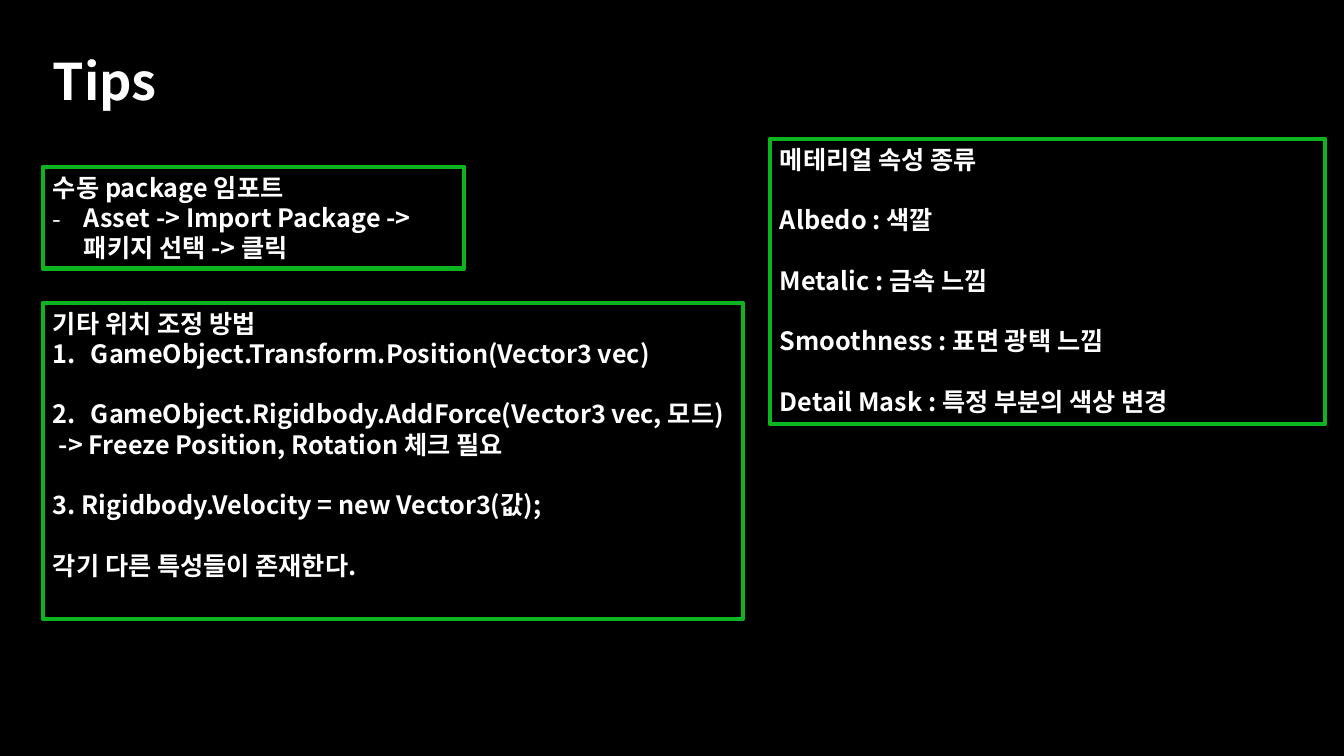
from lxml import etree
from pptx import Presentation, util as u
from pptx.dml.color import RGBColor
from pptx.enum import shapes, text
from pptx.oxml.ns import qn

BLACK = RGBColor(0x00, 0x00, 0x00)
WHITE = RGBColor(0xFF, 0xFF, 0xFF)
GREEN = RGBColor(0x0C, 0xB4, 0x20)
FONT = "Noto Sans CJK KR"
LEAD = 1.2  # line pitch as a multiple of the text size


def px(n):
    return u.Emu(round(n * 914400 / 100.8))


class Deck:
    def __init__(self):
        self.prs = Presentation()
        self.prs.slide_width, self.prs.slide_height = px(1344), px(756)
        self.slide = self.prs.slides.add_slide(self.prs.slide_layouts[6])
        fill = self.slide.background.fill
        fill.solid()
        fill.fore_color.rgb = BLACK

    def style(self, para, line, size):
        """A line is (text, gap before in lines, indent, hanging, bullet)."""
        words, gap, left, hang, mark = line
        para.text = words
        para.alignment = text.PP_ALIGN.LEFT
        para.line_spacing = u.Pt(size * LEAD)
        if gap:
            para.space_before = u.Pt(size * LEAD * gap)
        ppr = para._p.get_or_add_pPr()
        ppr.set("marL", str(px(left)))
        ppr.set("indent", str(-px(hang)))
        if mark == "-":
            etree.SubElement(ppr, qn("a:buFont"), typeface=FONT)
            etree.SubElement(ppr, qn("a:buChar"), char=mark)
        elif mark:
            etree.SubElement(ppr, qn("a:buFont"), typeface=FONT)
            etree.SubElement(ppr, qn("a:buAutoNum"), type=mark)
        for run in para.runs:
            font = run.font
            font.name, font.size, font.bold = FONT, u.Pt(size), True
            font.color.rgb = WHITE
            etree.SubElement(run._r.get_or_add_rPr(), qn("a:ea"), typeface=FONT)

    def fill(self, frame, lines, size):
        frame.word_wrap = True
        frame.vertical_anchor = text.MSO_ANCHOR.TOP
        for i, line in enumerate(lines):
            para = frame.add_paragraph() if i else frame.paragraphs[0]
            self.style(para, line, size)

    def title(self, x, y, w, h, words):
        box = self.slide.shapes.add_textbox(px(x), px(y), px(w), px(h))
        self.fill(box.text_frame, [row(words)], 36)

    def panel(self, x, y, w, h, lines):
        box = self.slide.shapes.add_shape(
            shapes.MSO_SHAPE.RECTANGLE, px(x), px(y), px(w), px(h))
        box.shadow.inherit = False
        box.fill.solid()
        box.fill.fore_color.rgb = BLACK
        tint = box._element.spPr.find(qn("a:solidFill"))[0]
        etree.SubElement(tint, qn("a:alpha"), val="51000")
        box.line.color.rgb = GREEN
        box.line.width = u.Pt(3.5)
        self.fill(box.text_frame, lines, 18)


def row(words, gap=0, left=0, hang=0, mark=None):
    return words, gap, left, hang, mark


def main():
    deck = Deck()
    deck.title(43, 45, 306, 72, "Tips")

    # Package import
    deck.panel(43, 167, 421, 102, [
        row("수동 package 임포트"),
        row("Asset -> Import Package -> 패키지 선택 -> 클릭", 0, 31, 31, "-"),
    ])

    # Ways to set a position
    step = dict(left=38, hang=38, mark="arabicPeriod")
    deck.panel(43, 303, 700, 316, [
        row("기타 위치 조정 방법"),
        row("GameObject.Transform.Position(Vector3 vec)", **step),
        row("GameObject.Rigidbody.AddForce(Vector3 vec, 모드)", 1, **step),
        row("-> Freeze Position, Rotation 체크 필요", left=6),
        row("3. Rigidbody.Velocity = new Vector3(값);", 1),
        row("각기 다른 특성들이 존재한다.", 1),
    ])

    # Material properties
    kinds = ["Albedo : 색깔", "Metalic : 금속 느낌",
             "Smoothness : 표면 광택 느낌", "Detail Mask : 특정 부분의 색상 변경"]
    deck.panel(770, 139, 555, 285,
               [row("메테리얼 속성 종류")] + [row(kind, 1) for kind in kinds])

    deck.prs.save("out.pptx")


if __name__ == "__main__":
    main()
